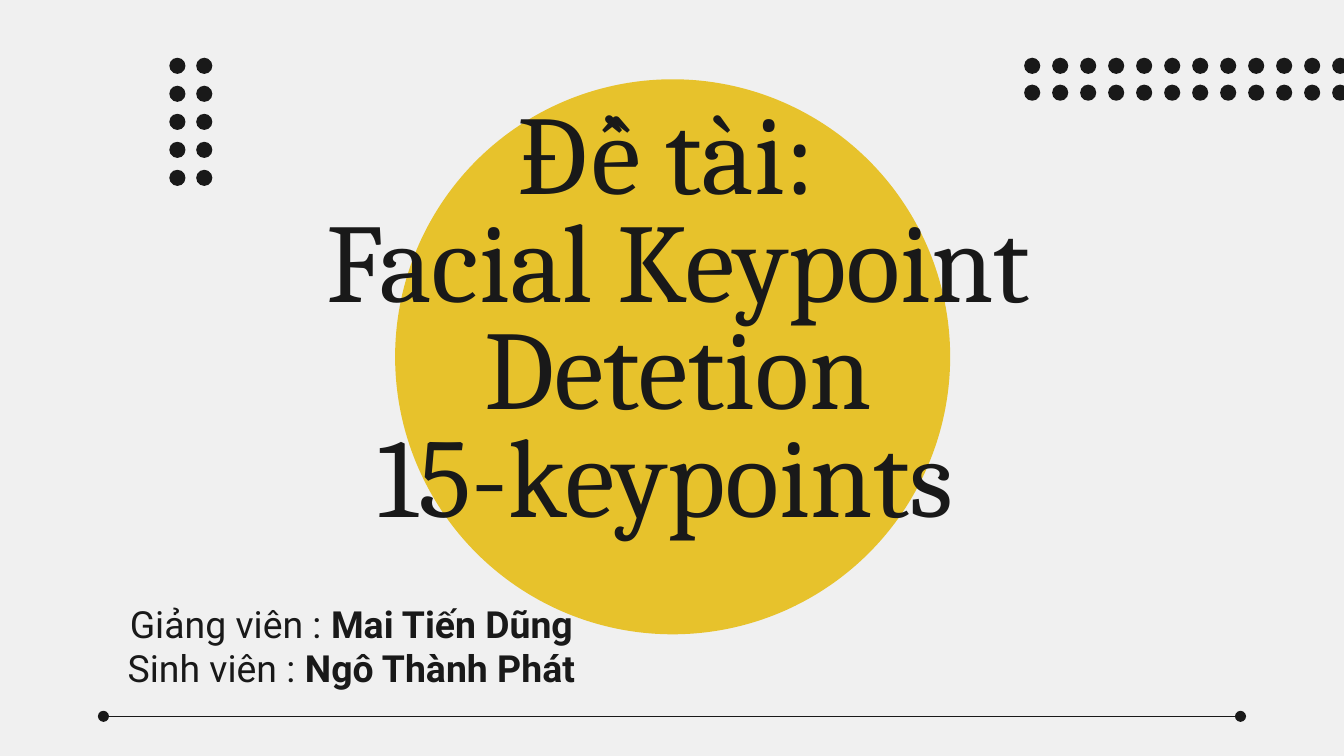
import pptx
import pptx.util
import pptx.dml.color
import pptx.enum.shapes
import pptx.enum.text
import pptx.oxml.ns
import lxml.etree

COLORS = {"paper": "F0F0F0", "sun": "E7C22C", "ink": "191919"}
RGB = {name: pptx.dml.color.RGBColor.from_string(c) for name, c in COLORS.items()}
Inches, Pt = pptx.util.Inches, pptx.util.Pt
CENTER = pptx.enum.text.PP_ALIGN.CENTER

W = 10
LONG, SHORT = W / 48, W / 50  # dot spacing along and across a grid
DOT = 0.12

prs = pptx.Presentation()
prs.slide_width = Inches(W)
prs.slide_height = Inches(W * 9 / 16)

s = prs.slides.add_slide(prs.slide_layouts[5])
s.background.fill.solid()
s.background.fill.fore_color.rgb = RGB["paper"]


def add_circle(shapes, left, top, size, color):
    sp = shapes.add_shape(pptx.enum.shapes.MSO_SHAPE.OVAL,
                          *map(Inches, (left, top, size, size)))
    sp.shadow.inherit = False
    sp.fill.solid()
    sp.fill.fore_color.rgb = RGB[color]
    sp.line.fill.background()
    return sp


def add_run(p, text, size, font, bold=False):
    r = p.add_run()
    r.text = text
    for key, value in {"size": Pt(size), "name": font, "bold": bold}.items():
        setattr(r.font, key, value)
    r.font.color.rgb = RGB["ink"]


# Yellow disc, behind the title
sun = add_circle(s.shapes, 2.94, 0.59, 4.13, "sun")
s.shapes.title._element.addprevious(sun._element)

# Title and names
title = s.shapes.title
names = s.shapes.add_textbox(0, 0, 0, 0)
for sp, box, anchor in ((title, (1.32, 0.43, 7.45, 3.68), "BOTTOM"),
                        (names, (0.14, 4.37, 4.95, 0.77), "TOP")):
    sp.left, sp.top, sp.width, sp.height = map(Inches, box)
    frame = {"word_wrap": True,
             "auto_size": pptx.enum.text.MSO_AUTO_SIZE.NONE,
             "vertical_anchor": pptx.enum.text.MSO_ANCHOR[anchor]}
    frame.update({f"margin_{side}": Inches(0.1)
                  for side in ("left", "right", "top", "bottom")})
    for key, value in frame.items():
        setattr(sp.text_frame, key, value)

p = title.text_frame.paragraphs[0]
p.alignment, p.line_spacing = CENTER, 0.8
for i, line in enumerate(("Đề tài: ", "Facial Keypoint Detetion", "15-keypoints ")):
    if i:
        p.add_line_break()
    add_run(p, line, 60, "Cambria")

tf = names.text_frame
for i, (role, person) in enumerate((("Giảng viên :", " Mai Tiến Dũng"),
                                    ("Sinh viên : ", "Ngô Thành Phát"))):
    p = tf.add_paragraph() if i else tf.paragraphs[0]
    p.alignment = CENTER
    add_run(p, role, 20, "Roboto")
    add_run(p, person, 20, "Roboto", True)

# Dot grids: left, top, columns, rows, column and row spacing
for left, top, cols, rows, dx, dy in ((7.62, 0.43, 12, 2, LONG, SHORT),
                                      (1.26, 0.43, 2, 5, SHORT, LONG)):
    group = s.shapes.add_group_shape()
    for col in range(cols):
        for row in range(rows):
            add_circle(group.shapes, left + col * dx, top + row * dy, DOT, "ink")

# Footer line with round ends
margin, y = 0.77, 5.33
line = s.shapes.add_connector(pptx.enum.shapes.MSO_CONNECTOR.STRAIGHT,
                              *map(Inches, (margin, y, W - margin, y)))
line.line.color.rgb = RGB["ink"]
line.line.width = Pt(0.75)
qn = pptx.oxml.ns.qn
ln = line.line._get_or_add_ln()
for end in ("a:headEnd", "a:tailEnd"):
    lxml.etree.SubElement(ln, qn(end), type="oval")
lxml.etree.SubElement(line._element.spPr, qn("a:effectLst"))

prs.save("out.pptx")
